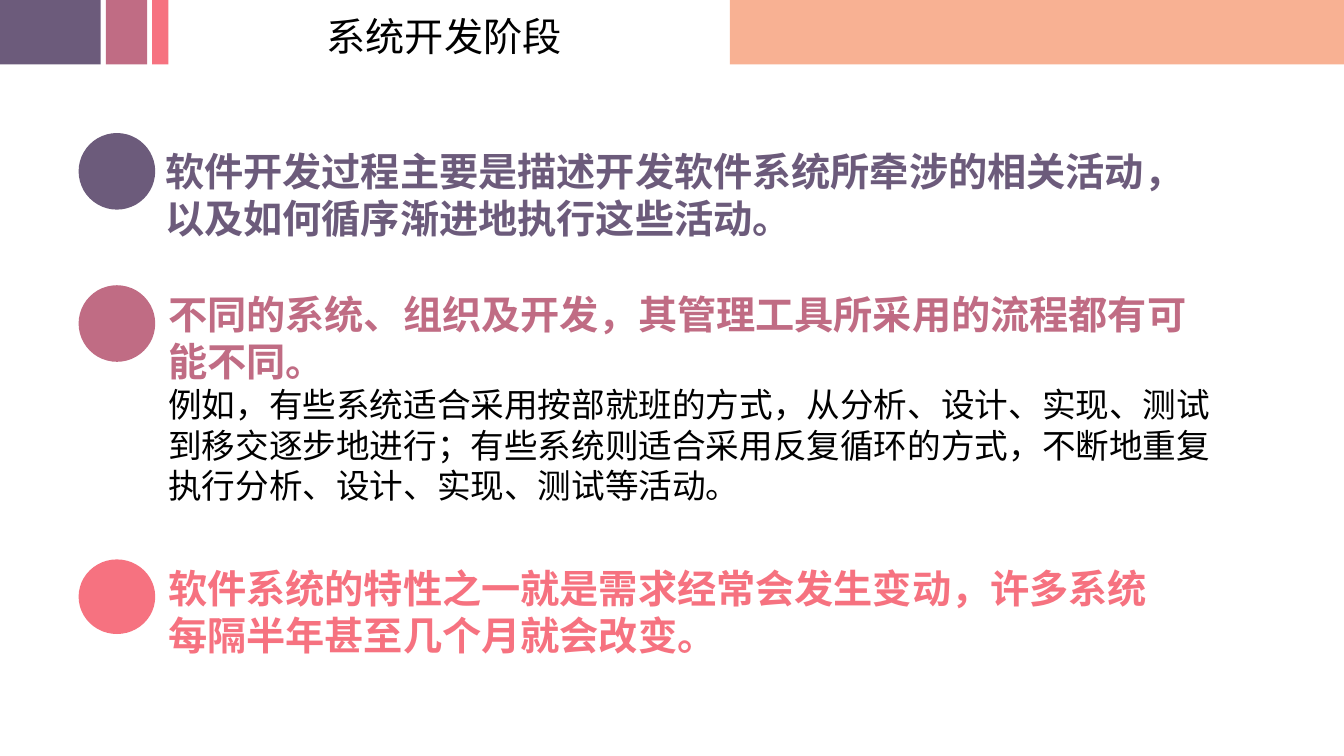
from pptx import Presentation
from pptx.dml.color import RGBColor
from pptx.enum.shapes import MSO_SHAPE
from pptx.enum.text import MSO_ANCHOR, PP_ALIGN
from pptx.util import Inches, Pt

RECTANGLE, OVAL = MSO_SHAPE.RECTANGLE, MSO_SHAPE.OVAL
TOP, LEFT = MSO_ANCHOR.TOP, PP_ALIGN.LEFT
WIDTH, HEIGHT = 13.33, 7.5
COLUMNS, ROWS = 133.3, 75
COLORS = {"purple": "6C5B7B", "mauve": "C06C84", "coral": "F67280",
          "peach": "F8B193", "black": "000000"}
CJK, LATIN = "Noto Sans CJK SC", "Calibri"
HEADING = {"size": Pt(28), "bold": True}
BODY = {"size": Pt(24), "bold": False, "name": CJK}
TITLE = {"size": Pt(28), "bold": False, "name": CJK}


class StageSlide:
    """Places elements by column and row on a fine grid over the slide."""

    def __init__(self, deck):
        self.slide = deck.slides.add_slide(deck.slide_layouts[5])
        self.shapes = self.slide.shapes

    def box(self, left, top, width, height):
        column, row = WIDTH / COLUMNS, HEIGHT / ROWS
        return [Inches(left * column), Inches(top * row),
                Inches(width * column), Inches(height * row)]

    def block(self, kind, color, *place):
        block = self.shapes.add_shape(kind, *self.box(*place))
        block.shadow.inherit = False
        block.fill.solid()
        block.fill.fore_color.rgb = RGBColor.from_string(COLORS[color])
        block.line.fill.background()

    def fill_frame(self, frame, paragraphs):
        """Fills a frame with (text, color, font format) paragraphs."""
        frame.word_wrap = True
        frame.vertical_anchor = TOP
        for index, (text, color, style) in enumerate(paragraphs):
            paragraph = frame.add_paragraph() if index else frame.paragraphs[0]
            paragraph.alignment = LEFT
            run = paragraph.add_run()
            run.text = text
            for attribute, value in style.items():
                setattr(run.font, attribute, value)
            run.font.color.rgb = RGBColor.from_string(COLORS[color])

    def title(self, text, *place):
        title = self.shapes.title
        title.left, title.top, title.width, title.height = self.box(*place)
        self.fill_frame(title.text_frame, [(text, "black", TITLE)])

    def text(self, paragraphs, *place):
        self.fill_frame(self.shapes.add_textbox(*self.box(*place)).text_frame, paragraphs)


BANDS = [("peach", 72.4, 60.9), ("purple", 0, 10), ("mauve", 10.5, 4.1), ("coral", 15.1, 1.6)]

# color, dot top, dot height, text place, heading font, heading, example
POINTS = [
    ("purple", 13.2, 7.6, (15.4, 14.1, 102.5, 10.4), CJK,
     "软件开发过程主要是描述开发软件系统所牵涉的相关活动，以及如何循序渐进地执行这些活动。", None),
    ("mauve", 28.3, 7.6, (15.7, 28.3, 106, 22.5), LATIN,
     "不同的系统、组织及开发，其管理工具所采用的流程都有可能不同。",
     "例如，有些系统适合采用按部就班的方式，从分析、设计、实现、测试到移交逐步地进行；"
     "有些系统则适合采用反复循环的方式，不断地重复执行分析、设计、实现、测试等活动。"),
    ("coral", 55.5, 7.4, (15.7, 55.5, 102.5, 10.4), LATIN,
     "软件系统的特性之一就是需求经常会发生变动，许多系统每隔半年甚至几个月就会改变。", None),
]


def main():
    deck = Presentation()
    deck.slide_width, deck.slide_height = Inches(WIDTH), Inches(HEIGHT)
    page = StageSlide(deck)
    for color, left, width in BANDS:
        page.block(RECTANGLE, color, left, 0, width, 6.4)
    page.title("系统开发阶段", 31.4, 0.7, 26.4, 5.7)
    for color, dot_top, dot_height, place, font, heading, example in POINTS:
        paragraphs = [(heading, color, {**HEADING, "name": font})]
        if example:
            paragraphs.append((example, "black", BODY))
        page.text(paragraphs, *place)
        page.block(OVAL, color, 7.8, dot_top, 7.6, dot_height)
    deck.save("out.pptx")


if __name__ == "__main__":
    main()
